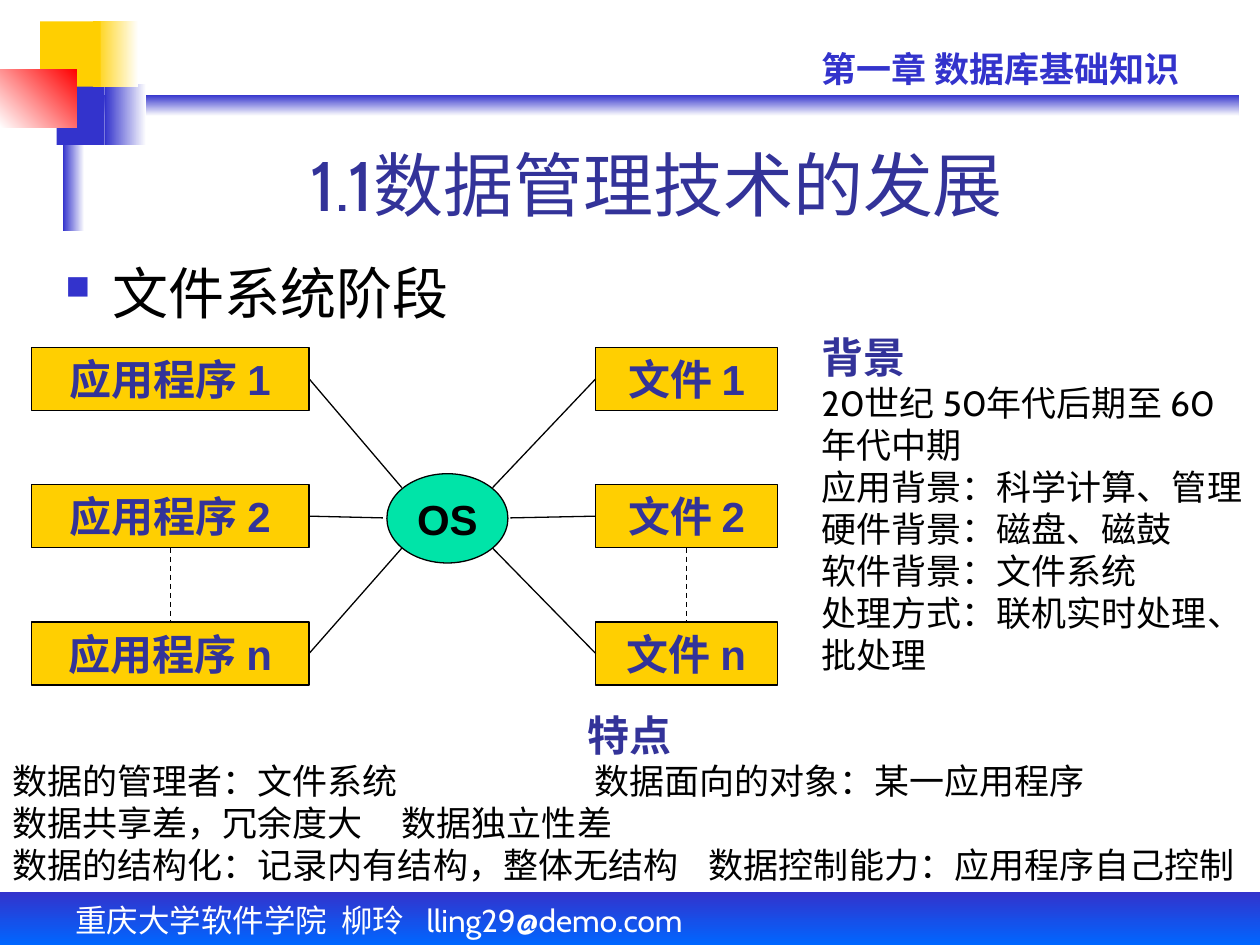
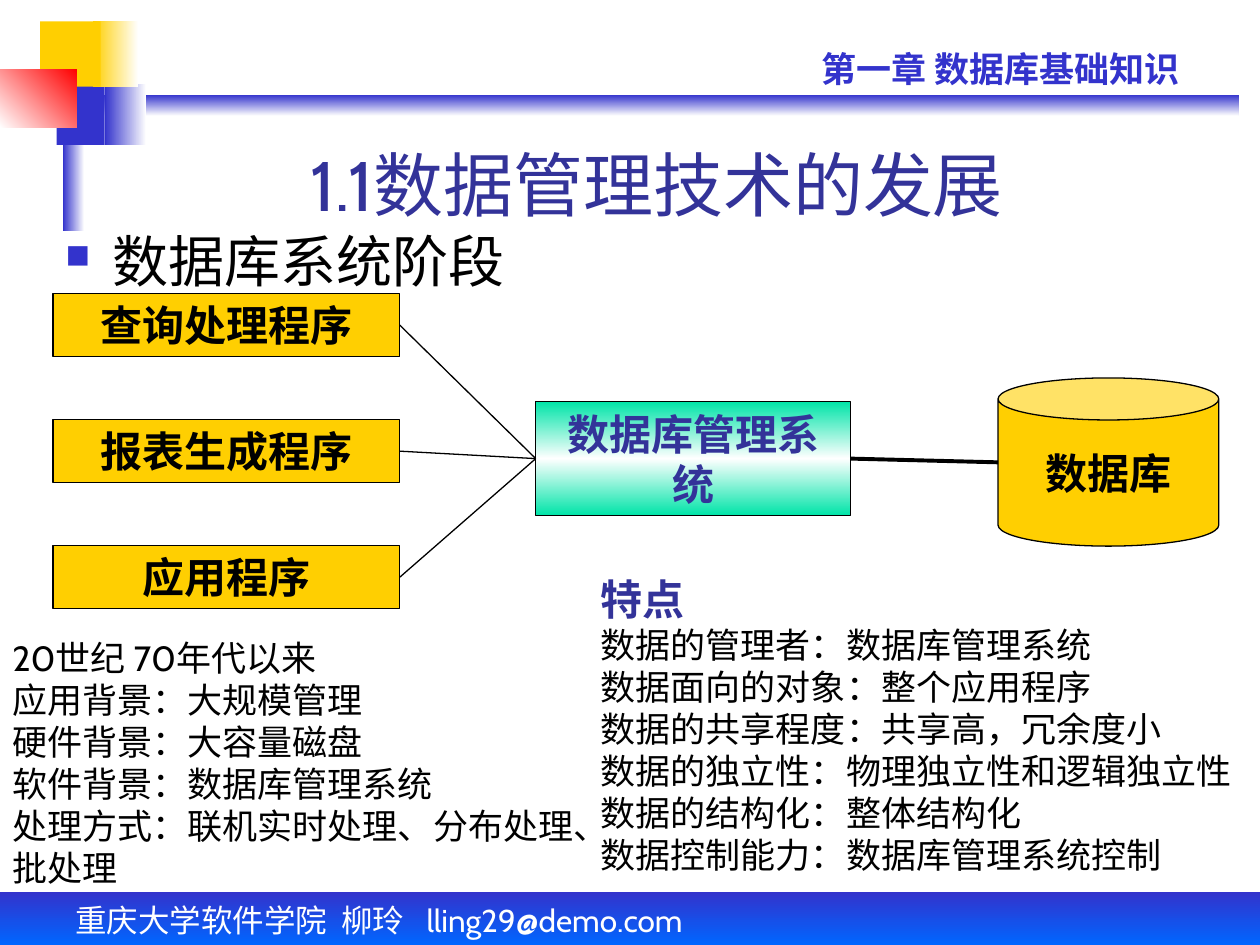
from copy import deepcopy

from lxml.etree import SubElement
from pptx import Presentation
from pptx.dml.color import RGBColor
from pptx.enum.dml import MSO_LINE
from pptx.enum.shapes import MSO_CONNECTOR, MSO_SHAPE
from pptx.enum.text import MSO_ANCHOR, PP_ALIGN
from pptx.oxml.ns import qn
from pptx.util import Cm, Pt

BLUE, NAVY, SKY = "3333CC", "333399", "0066FF"
GOLD, RED, MINT = "FFCF01", "FF0000", "00E4A8"
WHITE, BLACK = "FFFFFF", "000000"
TOP, LEFT, BOTTOM, RIGHT = range(4)


def color(code):
    return RGBColor.from_string(code)


class Deck:
    font = "Cabin"

    def __init__(self):
        self.prs = Presentation()
        self.prs.slide_width, self.prs.slide_height = Cm(25.4), Cm(19.05)

    def page(self, title, topic, top):
        """Start a slide with its frame, title and one bulleted topic."""
        self.slide = self.prs.slides.add_slide(self.prs.slide_layouts[6])
        self.frame()
        self.text((3.18, 2.97, 20.12, 1.7), [title], 40, NAVY,
                  align=PP_ALIGN.CENTER, anchor=MSO_ANCHOR.BOTTOM)
        box = self.text((1.07, top, 23.29, 1.7), [topic], 32)
        self.bullet(box.text_frame.paragraphs[0])

    def frame(self):
        self.block((1.47, 1.91, 23.5, 0.43), [BLUE, WHITE])
        self.block((2.11, 1.7, 0.84, 1.22), [WHITE, BLUE], 180)
        self.block((0, 17.98, 25.4, 1.07), [BLUE, SKY])
        self.block((1.27, 1.47, 0.43, 3.18), [WHITE, BLUE], 180)
        self.block((1.14, 1.7, 0.97, 1.22), [BLUE])
        self.block((1.88, 0.43, 0.91, 1.32), [WHITE, GOLD], 180)
        self.block((0.81, 0.43, 1.22, 1.32), [GOLD])
        self.block((0, 1.4, 1.55, 1.17), [RED, WHITE], 135)
        foot = self.text((1.27, 18.03, 18.62, 1.02),
                         ["重庆大学软件学院\t柳玲\tlling29@demo.com"], 18, WHITE)
        self.tabs(foot.text_frame.paragraphs[0], 5.36, 7.08)
        self.text((16.31, 0.84, 8.69, 1.12), ["第一章 数据库基础知识"],
                  20, BLUE, bold=True)

    def block(self, area, fills, angle=90, kind=MSO_SHAPE.RECTANGLE, edge=None):
        """Draw a shape; several fills make a gradient, angle runs clockwise."""
        shape = self.slide.shapes.add_shape(kind, *map(Cm, area))
        shape.shadow.inherit = False
        if len(fills) == 1:
            shape.fill.solid()
            shape.fill.fore_color.rgb = color(fills[0])
        else:
            shape.fill.gradient()
            shape.fill.gradient_angle = 360 - angle
            stops = shape._element.spPr.find(".//" + qn("a:gsLst"))
            for _ in fills[2:]:
                stops.append(deepcopy(stops[0]))
            for i, (stop, code) in enumerate(zip(shape.fill.gradient_stops, fills)):
                stop.color.rgb = color(code)
                stop.position = i / (len(fills) - 1)
        if edge:
            shape.line.color.rgb = color(edge)
            shape.line.width = Pt(0.75)
        else:
            shape.line.fill.background()
        return shape

    def node(self, area, label, ink, font, fills=(GOLD,), kind=MSO_SHAPE.RECTANGLE):
        shape = self.block(area, fills, kind=kind, edge=BLACK)
        self.letter(shape, [label], 24, ink, True, PP_ALIGN.CENTER,
                    MSO_ANCHOR.MIDDLE, font)
        return shape

    def text(self, area, lines, size=20, ink=BLACK, bold=False,
             align=PP_ALIGN.LEFT, anchor=MSO_ANCHOR.TOP):
        box = self.slide.shapes.add_textbox(*map(Cm, area))
        self.letter(box, lines, size, ink, bold, align, anchor, self.font)
        return box

    def letter(self, shape, lines, size, ink, bold, align, anchor, font):
        """Fill a shape with one paragraph per line."""
        frame = shape.text_frame
        frame.word_wrap = True
        frame.vertical_anchor = anchor
        frame.text = "\n".join(lines)
        for para in frame.paragraphs:
            para.alignment = align
            self.style(para, size, ink, bold, font)

    def style(self, para, size, ink, bold, font):
        for run in para.runs:
            run.font.name, run.font.size, run.font.bold = font, Pt(size), bold
            run.font.color.rgb = color(ink)

    def notes(self, area, lines, align=PP_ALIGN.LEFT):
        """Set body lines below a bold heading, the first line."""
        box = self.text(area, lines)
        head = box.text_frame.paragraphs[0]
        head.alignment = align
        self.style(head, 24, NAVY, True, self.font)
        return box

    def bullet(self, para):
        props = para._p.get_or_add_pPr()
        props.set("marL", str(Cm(0.95)))
        props.set("indent", str(-Cm(0.95)))
        tint = SubElement(props, qn("a:buClr"))
        SubElement(tint, qn("a:srgbClr"), val=BLUE)
        SubElement(props, qn("a:buSzPct"), val="60000")
        SubElement(props, qn("a:buChar"), char="■")

    def tabs(self, para, *stops):
        items = SubElement(para._p.get_or_add_pPr(), qn("a:tabLst"))
        for stop in stops:
            SubElement(items, qn("a:tab"), pos=str(Cm(stop)), algn="l")

    def link(self, shape, site, goal, width=0.75, dash=False):
        """Join a side of a shape to goal, a point or a (shape, site) pair."""
        line = self.slide.shapes.add_connector(MSO_CONNECTOR.STRAIGHT, 0, 0, 0, 0)
        line.begin_connect(shape, site)
        if isinstance(goal[0], (int, float)):
            line.end_x, line.end_y = map(Cm, goal)
        else:
            line.end_connect(*goal)
        line.line.color.rgb = color(BLACK)
        line.line.width = Pt(width)
        if dash:
            line.line.dash_style = MSO_LINE.DASH
        SubElement(line._element.spPr, qn("a:effectLst"))


def files(deck, title):
    deck.page(title, "文件系统阶段", 5.08)
    sides = [("应用程序", 0.64, 5.59, RIGHT, (8.1, 7.72, 8.1)),
             ("文件", 12.01, 3.66, LEFT, (9.93, 10.29, 9.93))]
    deck.node((7.8, 9.55, 2.44, 1.8), "OS", BLACK, "Arial", [MINT], MSO_SHAPE.OVAL)
    for name, left, width, site, ends in sides:
        nodes = [deck.node((left, 7 + 2.77 * i, width, 1.27), f"{name} {mark}",
                           NAVY, "Arial") for i, mark in enumerate("12n")]
        for node, x, y in zip(nodes, ends, (9.83, 10.44, 11.05)):
            deck.link(node, site, (x, y))
        deck.link(nodes[1], BOTTOM, (nodes[2], TOP), dash=True)

    traits = deck.notes((0, 14.17, 25.4, 3.81), [
        "特点",
        "数据的管理者：文件系统\t数据面向的对象：某一应用程序",
        "数据共享差，冗余度大\t数据独立性差",
        "数据的结构化：记录内有结构，整体无结构\t数据控制能力：应用程序自己控制",
    ], PP_ALIGN.CENTER)
    for para, stop in zip(traits.text_frame.paragraphs[1:], (11.73, 7.85, 14.04)):
        deck.tabs(para, stop)
    deck.notes((16.31, 6.55, 9.09, 7.21), [
        "背景",
        "20世纪 50年代后期至 60年代中期",
        "应用背景：科学计算、管理",
        "硬件背景：磁盘、磁鼓",
        "软件背景：文件系统",
        "处理方式：联机实时处理、批处理",
    ])


def database(deck, title):
    deck.page(title, "数据库系统阶段", 4.45)
    font = "Times New Roman"
    hub = deck.node((10.8, 8.1, 6.35, 2.29), "数据库管理系统", NAVY, font,
                    [MINT, WHITE, MINT])
    for i, name in enumerate(["查询处理程序", "报表生成程序", "应用程序"]):
        node = deck.node((1.07, 5.92 + 2.54 * i, 6.99, 1.27), name, BLACK, font)
        deck.link(node, RIGHT, (hub, LEFT))
    deck.node((20.12, 7.62, 4.45, 3.39), "数据库", BLACK, font, kind=MSO_SHAPE.CAN)
    deck.link(hub, RIGHT, (20.12, 9.32), 2.25)

    deck.text((0, 12.7, 12.5, 5.33), [
        "20世纪 70年代以来",
        "应用背景：大规模管理",
        "硬件背景：大容量磁盘",
        "软件背景：数据库管理系统",
        "处理方式：联机实时处理、分布处理、批处理",
    ])
    deck.notes((11.86, 11.43, 13.54, 6.35), [
        "特点",
        "数据的管理者：数据库管理系统",
        "数据面向的对象：整个应用程序",
        "数据的共享程度：共享高，冗余度小",
        "数据的独立性：物理独立性和逻辑独立性",
        "数据的结构化：整体结构化",
        "数据控制能力：数据库管理系统控制",
    ])


def main():
    deck = Deck()
    title = "1.1数据管理技术的发展"
    files(deck, title)
    database(deck, title)
    deck.prs.save("out.pptx")


if __name__ == "__main__":
    main()
